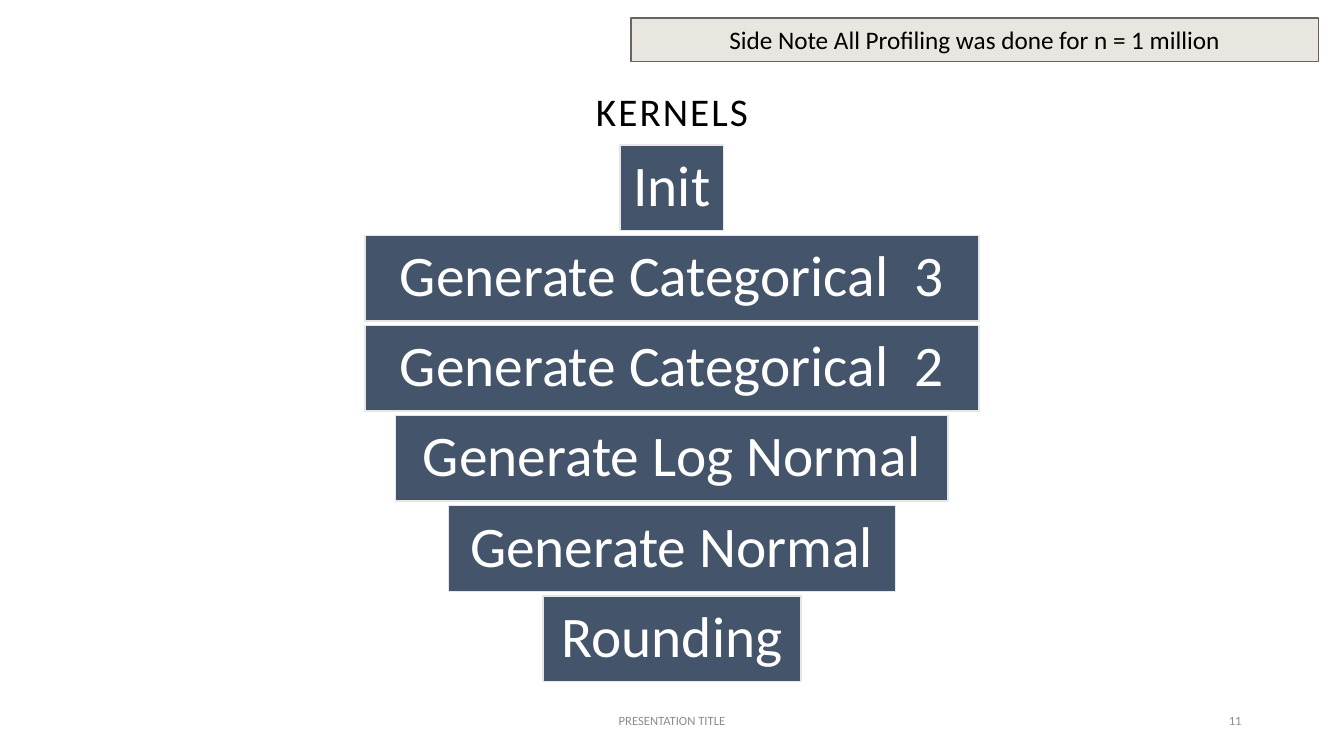
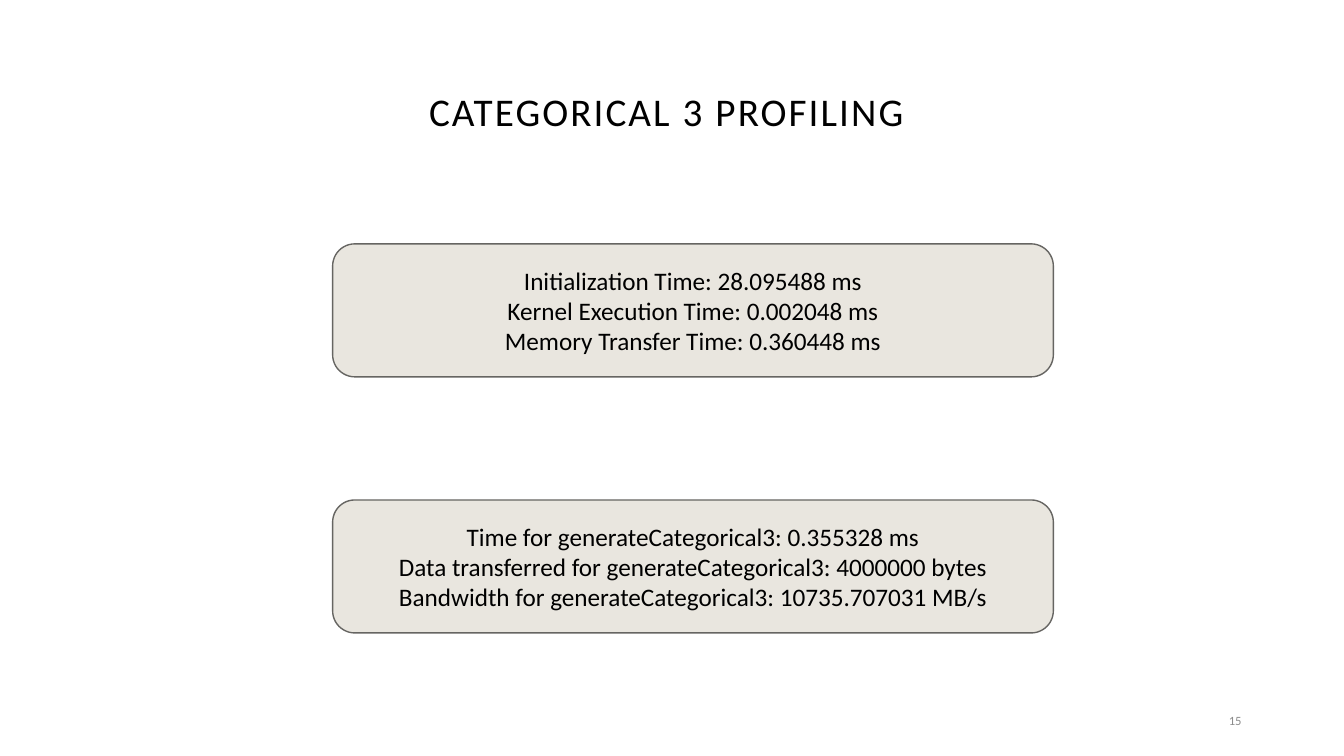
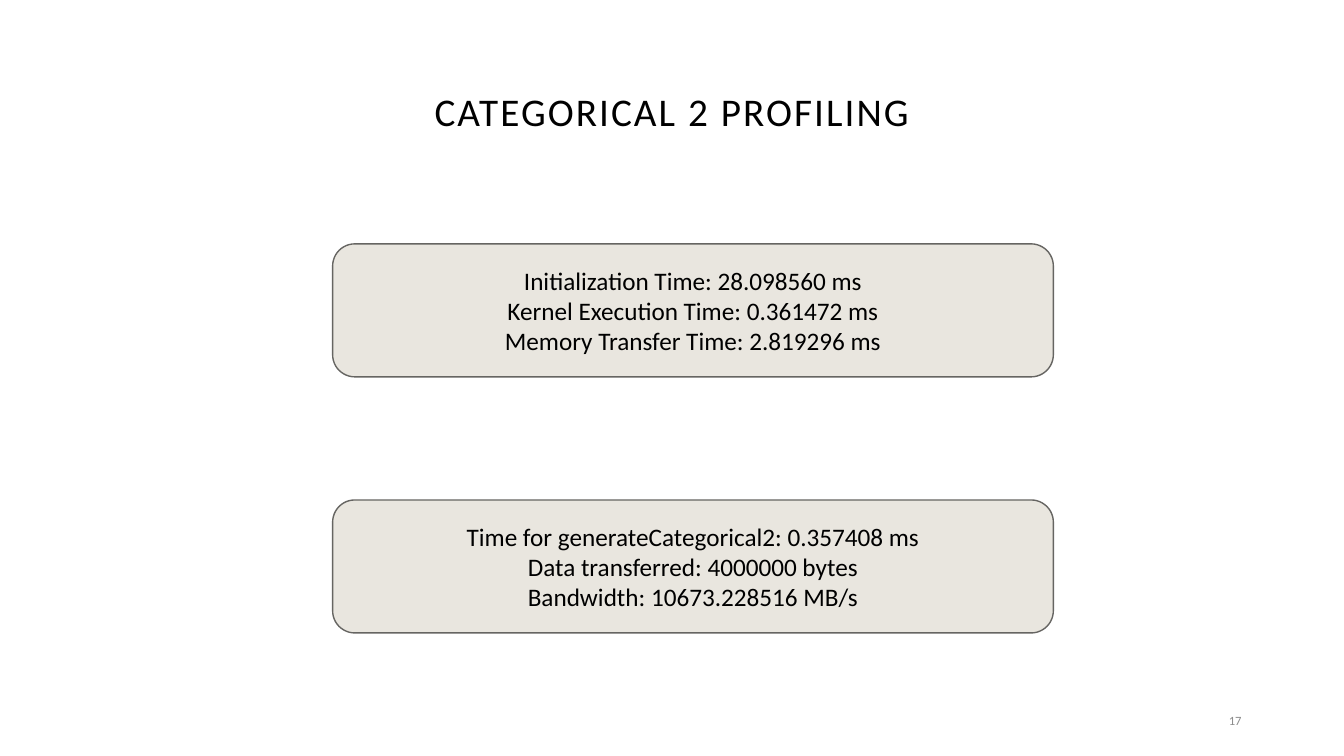
"""Build three slides on kernels and their profiling results."""
import dataclasses

import pptx
import pptx.dml.color
import pptx.enum.shapes
import pptx.enum.text
import pptx.util

Pt = pptx.util.Pt
Align = pptx.enum.text.PP_ALIGN
Shape = pptx.enum.shapes.MSO_SHAPE


@dataclasses.dataclass(frozen=True)
class Theme:
    """Colours, type sizes and spacing shared by every slide."""
    font: str = "Calibri"
    text: str = "000000"
    footer_text: str = "8C8C8C"
    kernel_fill: str = "44546A"
    kernel_line: str = "E7E6E6"
    kernel_text: str = "FFFFFF"
    panel_fill: str = "E9E6DF"
    panel_line: str = "666562"
    title_size: float = 28
    kernel_size: float = 41
    panel_size: float = 18
    footer_size: float = 9
    title_tracking: float = 1.5
    tight_spacing: float = 0.9


THEME = Theme()
SLIDE_WIDTH, SLIDE_HEIGHT = 960, 540
TITLE_BOUNDS = (66, 28.8, 828, 104.4)
FOOTER_BOUNDS = (318, 500.4, 324, 28.8)
NUMBER_BOUNDS = (678, 500.4, 216, 28.8)
NOTE_BOUNDS = (450.7, 13, 491, 31)
PANEL_LEFT, PANEL_WIDTH, PANEL_HEIGHT = 237.6, 514.8, 95
PANEL_TOPS = (174.2, 357.1)
KERNEL_TOP, KERNEL_HEIGHT, KERNEL_PITCH, KERNEL_INSET = 103.6, 61.2, 64.4, 8

KERNELS = [
    ("Init", 74),
    ("Generate Categorical  3", 438.6),
    ("Generate Categorical  2", 438.6),
    ("Generate Log Normal", 394.6),
    ("Generate Normal", 319),
    ("Rounding", 184.4),
]

PROFILES = [
    ("CATEGORICAL 3 PROFILING ", 15, [
        ["Initialization Time: 28.095488 ms",
         "Kernel Execution Time: 0.002048 ms",
         "Memory Transfer Time: 0.360448 ms"],
        ["Time for generateCategorical3: 0.355328 ms",
         "Data transferred for generateCategorical3: 4000000 bytes",
         "Bandwidth for generateCategorical3: 10735.707031 MB/s"],
    ]),
    ("CATEGORICAL 2 PROFILING", 17, [
        ["Initialization Time: 28.098560 ms",
         "Kernel Execution Time: 0.361472 ms",
         "Memory Transfer Time: 2.819296 ms"],
        ["Time for generateCategorical2: 0.357408 ms",
         "Data transferred: 4000000 bytes",
         "Bandwidth: 10673.228516 MB/s"],
    ]),
]


def to_color(value):
    """Return the colour for a hexadecimal value."""
    return pptx.dml.color.RGBColor.from_string(value)


def to_points(bounds):
    """Return left, top, width and height as lengths."""
    return [Pt(value) for value in bounds]


def write_text(shape, text, size, color, align=Align.CENTER, spacing=None):
    """Fill a shape with vertically centred, formatted text."""
    frame = shape.text_frame
    frame.text = text
    frame.word_wrap = True
    frame.vertical_anchor = pptx.enum.text.MSO_ANCHOR.MIDDLE
    for paragraph in frame.paragraphs:
        paragraph.alignment = align
        paragraph.line_spacing = spacing
        for run in paragraph.runs:
            run.font.name = THEME.font
            run.font.size = Pt(size)
            run.font.color.rgb = to_color(color)


def add_box(slide, preset, bounds, fill, line):
    """Add a flat filled shape with a thin outline."""
    shape = slide.shapes.add_shape(preset, *to_points(bounds))
    shape.shadow.inherit = False
    shape.fill.solid()
    shape.fill.fore_color.rgb = to_color(fill)
    shape.line.color.rgb = to_color(line)
    shape.line.width = Pt(1)
    return shape


def add_panel(slide, preset, bounds, lines):
    """Add a light panel holding one paragraph per line."""
    panel = add_box(slide, preset, bounds, THEME.panel_fill, THEME.panel_line)
    write_text(panel, "\n".join(lines), THEME.panel_size, THEME.text)


def add_kernel(slide, index, name, width):
    """Add one centred kernel bar to the stack."""
    left = (SLIDE_WIDTH - width) / 2
    top = KERNEL_TOP + index * KERNEL_PITCH
    bar = add_box(slide, Shape.RECTANGLE, (left, top, width, KERNEL_HEIGHT),
                  THEME.kernel_fill, THEME.kernel_line)
    bar.text_frame.margin_left = bar.text_frame.margin_right = Pt(KERNEL_INSET)
    bar.text_frame.margin_top = bar.text_frame.margin_bottom = Pt(KERNEL_INSET)
    write_text(bar, name, THEME.kernel_size, THEME.kernel_text,
               spacing=THEME.tight_spacing)


def add_footer(slide, bounds, text, align):
    """Add one small grey footer text."""
    box = slide.shapes.add_textbox(*to_points(bounds))
    write_text(box, text, THEME.footer_size, THEME.footer_text, align)


def add_slide(presentation, layout, title, number):
    """Add a slide with its title and slide number."""
    slide = presentation.slides.add_slide(layout)
    write_text(slide.shapes.title, title, THEME.title_size, THEME.text,
               spacing=THEME.tight_spacing)
    for run in slide.shapes.title.text_frame.paragraphs[0].runs:
        run.font._element.set("spc", str(int(THEME.title_tracking * 100)))
    add_footer(slide, NUMBER_BOUNDS, str(number), Align.RIGHT)
    return slide


def prepare_layout(presentation):
    """Place the title of the title-only layout and return the layout."""
    layout = presentation.slide_layouts.get_by_name("Title Only")
    title = layout.placeholders[0]
    title.left, title.top, title.width, title.height = to_points(TITLE_BOUNDS)
    return layout


def main():
    """Build and save the presentation."""
    presentation = pptx.Presentation()
    presentation.slide_width = Pt(SLIDE_WIDTH)
    presentation.slide_height = Pt(SLIDE_HEIGHT)
    layout = prepare_layout(presentation)

    slide = add_slide(presentation, layout, "KERNELS", 11)
    add_footer(slide, FOOTER_BOUNDS, "PRESENTATION TITLE", Align.CENTER)
    for index, (name, width) in enumerate(KERNELS):
        add_kernel(slide, index, name, width)
    add_panel(slide, Shape.RECTANGLE, NOTE_BOUNDS,
              ["Side Note All Profiling was done for n = 1 million"])

    for title, number, panels in PROFILES:
        slide = add_slide(presentation, layout, title, number)
        for top, lines in zip(PANEL_TOPS, panels):
            add_panel(slide, Shape.FLOWCHART_ALTERNATE_PROCESS,
                      (PANEL_LEFT, top, PANEL_WIDTH, PANEL_HEIGHT), lines)

    presentation.save("out.pptx")


if __name__ == "__main__":
    main()
